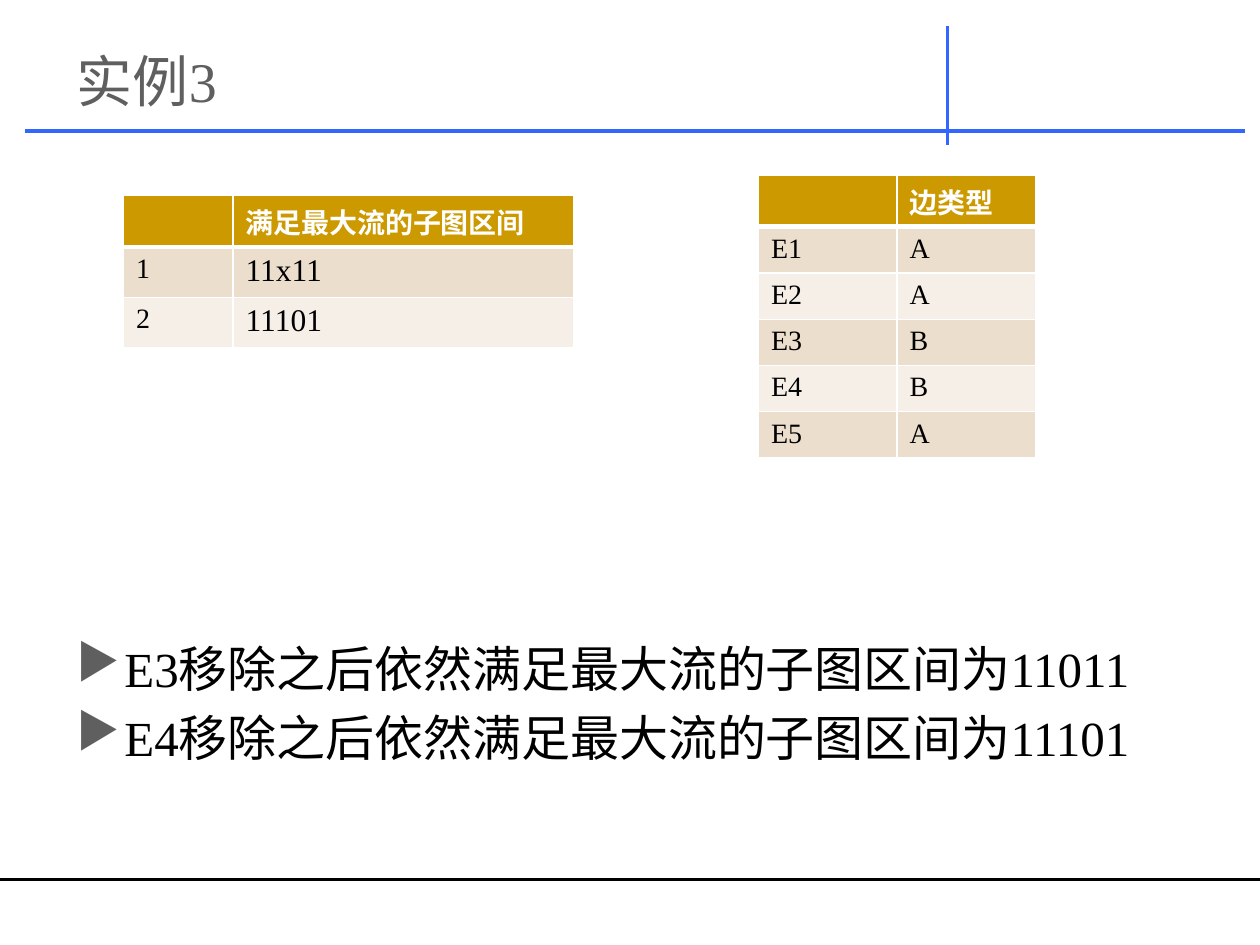
"""Build a slide with two small tables and two conclusions about subgraph intervals."""
from dataclasses import dataclass

from lxml import etree
from pptx import Presentation
from pptx.dml.color import RGBColor
from pptx.enum.lang import MSO_LANGUAGE_ID
from pptx.enum.shapes import MSO_CONNECTOR
from pptx.enum.text import MSO_ANCHOR
from pptx.oxml.ns import qn
from pptx.slide import Slide
from pptx.table import _Cell
from pptx.text.text import TextFrame, _Paragraph
from pptx.util import Inches, Length, Pt

STRAIGHT = MSO_CONNECTOR.STRAIGHT
TOP, MIDDLE = MSO_ANCHOR.TOP, MSO_ANCHOR.MIDDLE
CHINESE = MSO_LANGUAGE_ID.SIMPLIFIED_CHINESE

BLACK = RGBColor(0x00, 0x00, 0x00)
WHITE = RGBColor(0xFF, 0xFF, 0xFF)
GRAY = RGBColor(0x5F, 0x5F, 0x5F)
BLUE = RGBColor(0x33, 0x66, 0xFF)
GOLD = RGBColor(0xCC, 0x99, 0x00)
BANDS = (RGBColor(0xEC, 0xDE, 0xCC), RGBColor(0xF6, 0xEF, 0xE7))

FONT = "Times New Roman"
COLUMNS, ROWS = 100, 75
SLIDE_WIDTH, SLIDE_HEIGHT = Inches(10), Inches(7.5)
HANGING = 3.8


@dataclass(frozen=True)
class Rule:
    """A straight line between two grid points."""
    start: tuple[float, float]
    end: tuple[float, float]
    color: RGBColor
    weight: float


@dataclass(frozen=True)
class Grid:
    """A table with a header row and banded body rows."""
    left: float
    top: float
    widths: tuple[float, ...]
    header_height: float
    row_height: float
    rows: tuple[tuple[str, ...], ...]
    sizes: tuple[int, ...]


RULES = (
    Rule((0, 69.8), (100, 69.8), BLACK, 1.5),
    Rule((75.2, 2.1), (75.2, 11.5), BLUE, 2),
    Rule((2, 10.4), (98.8, 10.4), BLUE, 2),
)
TABLES = (
    Grid(9.8, 15.5, (8.7, 27), 4.1, 3.7,
         (("", "满足最大流的子图区间"), ("1", "11x11"), ("2", "11101")), (16, 18)),
    Grid(60.2, 13.9, (11, 11), 4.1, 3.5,
         (("", "边类型"), ("E1", "A"), ("E2", "A"), ("E3", "B"), ("E4", "B"), ("E5", "A")),
         (16, 16)),
)
CONCLUSIONS = (
    "E3移除之后依然满足最大流的子图区间为11011",
    "E4移除之后依然满足最大流的子图区间为11101",
)


def across(columns: float) -> Length:
    """Turn grid columns into a length."""
    return Length(round(SLIDE_WIDTH * columns / COLUMNS))


def down(rows: float) -> Length:
    """Turn grid rows into a length."""
    return Length(round(SLIDE_HEIGHT * rows / ROWS))


def add_span(para: _Paragraph, text: str, size: float, color: RGBColor,
             bold: bool = False) -> None:
    """Append one formatted run."""
    span = para.add_run()
    span.text = text
    span.font.name = FONT
    span.font.size = Pt(size)
    span.font.bold = bold
    span.font.color.rgb = color
    span.font.language_id = CHINESE


def add_rule(slide: Slide, rule: Rule) -> None:
    """Draw one line without a shadow."""
    line = slide.shapes.add_connector(
        STRAIGHT, across(rule.start[0]), down(rule.start[1]),
        across(rule.end[0]), down(rule.end[1]))
    line.line.color.rgb = rule.color
    line.line.width = Pt(rule.weight)
    etree.SubElement(line._element.spPr, qn("a:effectLst"))


def add_frame(slide: Slide, left: float, top: float, width: float, height: float,
              anchor: MSO_ANCHOR) -> TextFrame:
    """Add a wrapping text box and return its frame."""
    box = slide.shapes.add_textbox(across(left), down(top), across(width), down(height))
    frame = box.text_frame
    frame.word_wrap = True
    frame.vertical_anchor = anchor
    frame.margin_top = frame.margin_bottom = 0
    return frame


def add_bullet(para: _Paragraph) -> None:
    """Give a paragraph a hanging triangle bullet."""
    properties = para._p.get_or_add_pPr()
    properties.set("marL", str(across(HANGING)))
    properties.set("indent", str(-across(HANGING)))
    color = etree.SubElement(properties, qn("a:buClr"))
    etree.SubElement(color, qn("a:srgbClr"), val=str(GRAY))
    etree.SubElement(properties, qn("a:buChar"), char="▶")


def set_borders(cell: _Cell, bottom: float) -> None:
    """Draw white cell borders, with a chosen bottom weight."""
    properties = cell._tc.get_or_add_tcPr()
    weights = (("a:lnL", 1), ("a:lnR", 1), ("a:lnT", 1), ("a:lnB", bottom))
    for position, (tag, weight) in enumerate(weights):
        border = etree.Element(qn(tag), w=str(Pt(weight)))
        fill = etree.SubElement(border, qn("a:solidFill"))
        etree.SubElement(fill, qn("a:srgbClr"), val=str(WHITE))
        properties.insert(position, border)


def add_grid(slide: Slide, grid: Grid) -> None:
    """Draw one table."""
    heights = [grid.header_height] + [grid.row_height] * (len(grid.rows) - 1)
    table = slide.shapes.add_table(
        len(heights), len(grid.widths), across(grid.left), down(grid.top),
        across(sum(grid.widths)), down(sum(heights))).table
    for column, width in zip(table.columns, grid.widths):
        column.width = across(width)
    for index, (height, texts) in enumerate(zip(heights, grid.rows)):
        header = index == 0
        table.rows[index].height = down(height)
        for column, text in enumerate(texts):
            cell = table.cell(index, column)
            cell.fill.solid()
            cell.fill.fore_color.rgb = GOLD if header else BANDS[(index - 1) % 2]
            set_borders(cell, 3 if header else 1)
            para = cell.text_frame.paragraphs[0]
            para.font.size = Pt(16)
            if text:
                add_span(para, text, 16 if header else grid.sizes[column],
                         WHITE if header else BLACK, header)


def main() -> None:
    """Assemble and save the deck."""
    deck = Presentation()
    deck.slide_width, deck.slide_height = SLIDE_WIDTH, SLIDE_HEIGHT
    slide = deck.slides.add_slide(deck.slide_layouts[6])
    for rule in RULES:
        add_rule(slide, rule)
    title = add_frame(slide, 5.1, 2.8, 69.3, 7.1, MIDDLE)
    add_span(title.paragraphs[0], "实例3", 32, GRAY)
    body = add_frame(slide, 5.1, 50.6, 90, 18.4, TOP)
    for index, text in enumerate(CONCLUSIONS):
        para = body.add_paragraph() if index else body.paragraphs[0]
        para.line_spacing = Pt(34)
        para.space_after = Pt(5.4)
        add_bullet(para)
        add_span(para, text, 28, BLACK)
    for grid in TABLES:
        add_grid(slide, grid)
    deck.save("out.pptx")


if __name__ == "__main__":
    main()
